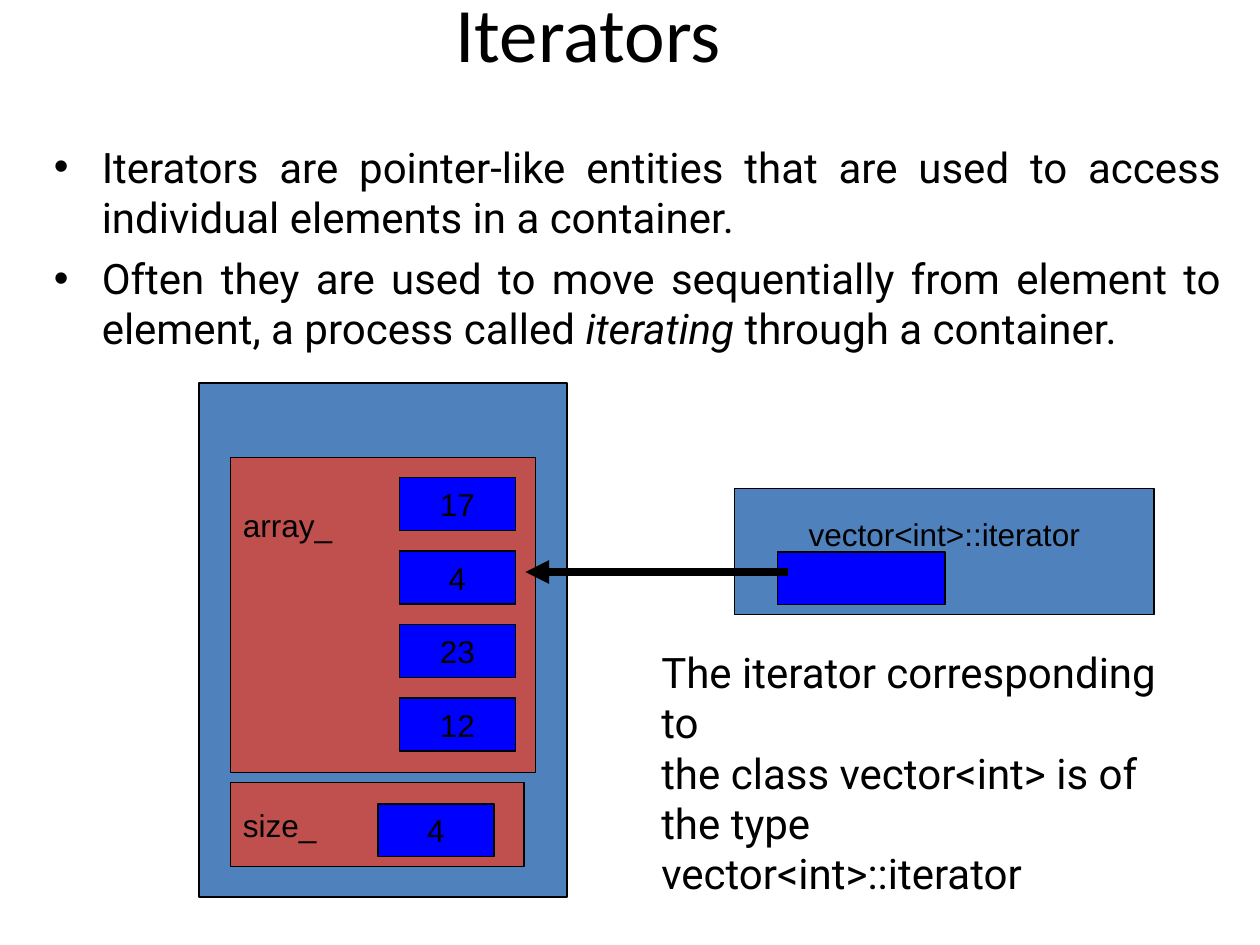
from lxml import etree
from pptx import Presentation
from pptx.dml.color import RGBColor
from pptx.enum.shapes import MSO_CONNECTOR, MSO_SHAPE
from pptx.enum.text import MSO_ANCHOR, PP_ALIGN
from pptx.oxml.ns import qn
from pptx.util import Inches, Pt

BLACK, STEEL, BRICK, BLUE = "000000", "4F81BD", "C0504D", "0000FF"
CELL_HEIGHT = 0.42
CELL_WIDTH = 0.92


def color(value):
    return RGBColor.from_string(value)


def style_runs(paragraph, font, size):
    for run in paragraph.runs:
        run.font.name = font
        run.font.size = Pt(size)
        run.font.color.rgb = color(BLACK)


def add_block(slide, left, top, width, height, fill, label="",
              align=PP_ALIGN.CENTER, label_top=None):
    """Outlined rectangle; its label is centred vertically unless label_top is given."""
    block = slide.shapes.add_shape(MSO_SHAPE.RECTANGLE, Inches(left), Inches(top),
                                   Inches(width), Inches(height))
    block.shadow.inherit = False
    block.fill.solid()
    block.fill.fore_color.rgb = color(fill)
    block.line.color.rgb = color(BLACK)
    block.line.width = Pt(0.75)
    if label:
        frame = block.text_frame
        frame.text = label
        frame.word_wrap = False
        frame.vertical_anchor = MSO_ANCHOR.MIDDLE
        if label_top is not None:
            frame.vertical_anchor = MSO_ANCHOR.TOP
            frame.margin_top = Inches(label_top)
        frame.paragraphs[0].alignment = align
        style_runs(frame.paragraphs[0], "Arial", 18)


def add_text_frame(slide, left, top, width, height):
    frame = slide.shapes.add_textbox(Inches(left), Inches(top),
                                     Inches(width), Inches(height)).text_frame
    frame.word_wrap = True
    return frame


def add_title(slide, left, top, width, height):
    frame = add_text_frame(slide, left, top, width, height)
    frame.text = "Iterators"
    frame.vertical_anchor = MSO_ANCHOR.MIDDLE
    frame.paragraphs[0].alignment = PP_ALIGN.CENTER
    style_runs(frame.paragraphs[0], "Calibri", 44)


def add_bullet(paragraph):
    properties = paragraph._p.get_or_add_pPr()
    properties.set("marL", str(Inches(0.38)))
    properties.set("indent", str(-Inches(0.38)))
    etree.SubElement(properties, qn("a:buFont")).set("typeface", "Arial")
    etree.SubElement(properties, qn("a:buChar")).set("char", "•")


def add_definitions(slide, left, top, width, height):
    frame = add_text_frame(slide, left, top, width, height)
    frame.text = ("Iterators are pointer-like entities that are used to access "
                  "individual elements in a container.")
    iterating = frame.add_paragraph()
    for text, italic in (
        ("Often they are used to move sequentially from element to element, "
         "a process called ", False),
        ("iterating", True),
        (" through a container.", False),
    ):
        run = iterating.add_run()
        run.text = text
        run.font.italic = italic
    for paragraph in frame.paragraphs:
        paragraph.alignment = PP_ALIGN.JUSTIFY
        paragraph.space_before = Pt(6)
        add_bullet(paragraph)
        style_runs(paragraph, "Roboto", 24)


def add_container(slide, left, top, width, height):
    """Vector object with its array_ and size_ members."""
    add_block(slide, left, top, width, height, STEEL)
    member_left, array_top, size_top = left + 0.25, top + 0.59, top + 3.17
    add_block(slide, member_left, array_top, 2.42, 2.5, BRICK, "array_",
              PP_ALIGN.LEFT, label_top=0.39)
    row_pitch = 7 / 12
    for row, value in enumerate(("17", "4", "23", "12")):
        add_block(slide, member_left + 1.34, array_top + 0.16 + row * row_pitch,
                  CELL_WIDTH, CELL_HEIGHT, BLUE, value)
    add_block(slide, member_left, size_top, 2.33, 0.67, BRICK, "size_", PP_ALIGN.LEFT)
    add_block(slide, member_left + 1.17, size_top + 0.17,
              CELL_WIDTH, CELL_HEIGHT, BLUE, "4")


def add_iterator(slide, left, top, width, height):
    add_block(slide, left, top, width, height, STEEL, "vector<int>::iterator",
              label_top=0.21)
    add_block(slide, left + 0.34, top + 0.5, 1.33, CELL_HEIGHT, BLUE)


def add_pointer(slide, start, end, level):
    arrow = slide.shapes.add_connector(MSO_CONNECTOR.STRAIGHT, Inches(start),
                                       Inches(level), Inches(end), Inches(level))
    arrow.line.color.rgb = color(BLACK)
    arrow.line.width = Pt(4.5)
    etree.SubElement(arrow.line._get_or_add_ln(), qn("a:tailEnd")).set("type", "triangle")
    etree.SubElement(arrow._element.spPr, qn("a:effectLst"))


def add_explanation(slide, left, top, width, height):
    frame = add_text_frame(slide, left, top, width, height)
    frame.text = ("The iterator corresponding to\n"
                  "the class vector<int> is of\n"
                  "the type vector<int>::iterator")
    for paragraph in frame.paragraphs:
        style_runs(paragraph, "Roboto", 24)


def main():
    presentation = Presentation()
    presentation.slide_width = Inches(10)
    presentation.slide_height = Inches(7.5)
    slide = presentation.slides.add_slide(presentation.slide_layouts[6])
    add_title(slide, 0.17, -0.37, 9, 1.25)
    add_definitions(slide, 0.33, 1.07, 9.46, 5.21)
    add_container(slide, 1.58, 3.04, 2.92, 4.08)
    add_iterator(slide, 5.83, 3.88, 3.33, 1)
    add_pointer(slide, 6.25, 4.17, 4.54)
    add_explanation(slide, 5.15, 5.08, 4.18, 2.1)
    presentation.save("out.pptx")


if __name__ == "__main__":
    main()
